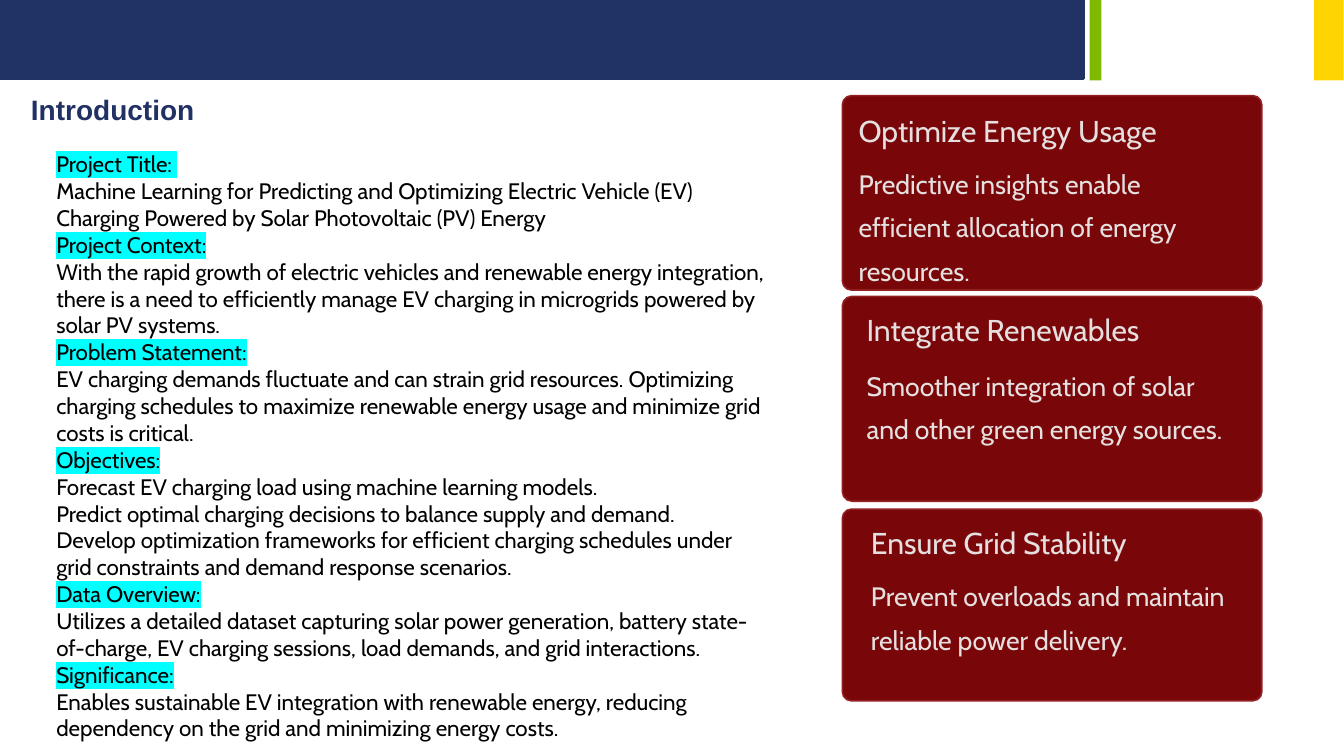
import pptx
import pptx.dml.color
import pptx.enum.shapes
import pptx.enum.text
import pptx.util
from lxml import etree
from pptx.util import Cm, Pt

COLORS = {
    "navy": "213264", "title": "213163", "green": "7FBA00", "yellow": "FED500",
    "card": "790709", "card_line": "922022", "card_text": "E5E0DF",
    "text": "000000", "highlight": "00FFFF",
}
DRAWING = "http://schemas.openxmlformats.org/drawingml/2006/main"


class SlideBuilder:
    def __init__(self, slide, font="Cabin"):
        self.slide = slide
        self.font = font

    def color(self, name):
        return pptx.dml.color.RGBColor.from_string(COLORS[name])

    def box(self, left, top, width, height, fill, line=None, line_width=1, corner=None):
        kinds = pptx.enum.shapes.MSO_SHAPE
        kind = kinds.RECTANGLE if corner is None else kinds.ROUNDED_RECTANGLE
        shape = self.slide.shapes.add_shape(kind, Cm(left), Cm(top), Cm(width), Cm(height))
        shape.shadow.inherit = False
        if corner is not None:
            shape.adjustments[0] = corner
        shape.fill.solid()
        shape.fill.fore_color.rgb = self.color(fill)
        if line:
            shape.line.color.rgb = self.color(line)
            shape.line.width = Pt(line_width)
        else:
            shape.line.fill.background()

    def text_box(self, left, top, width, height, margins=(0, 0, 0, 0), wrap=True):
        shape = self.slide.shapes.add_textbox(Cm(left), Cm(top), Cm(width), Cm(height))
        frame = shape.text_frame
        frame.word_wrap = wrap
        frame.auto_size = pptx.enum.text.MSO_AUTO_SIZE.NONE
        (frame.margin_left, frame.margin_top,
         frame.margin_right, frame.margin_bottom) = map(Cm, margins)
        return frame

    def run(self, paragraph, text, size, color, font=None, bold=False, highlight=None):
        run = paragraph.add_run()
        run.text = text
        run.font.size = Pt(size)
        run.font.bold = bold
        run.font.color.rgb = self.color(color)
        if highlight:
            # The highlight must stand between the fill and the typeface
            properties = run.font._element
            mark = etree.SubElement(properties, f"{{{DRAWING}}}highlight")
            etree.SubElement(mark, f"{{{DRAWING}}}srgbClr", val=COLORS[highlight])
        run.font.name = font or self.font

    def sections(self, frame, sections):
        paragraph = frame.paragraphs[0]
        for number, (heading, lines) in enumerate(sections):
            if number:
                paragraph = frame.add_paragraph()
            self.run(paragraph, heading, 16, "text", highlight="highlight")
            for line in lines:
                self.run(frame.add_paragraph(), line, 16, "text")

    def label(self, left, top, width, height, text, size, spacing, wrap):
        paragraph = self.text_box(left, top, width, height, wrap=wrap).paragraphs[0]
        paragraph.line_spacing = Pt(spacing)
        self.run(paragraph, text, size, "card_text")

    def card(self, top, height, text_left, heading_top, heading, body_top, body_width, body):
        self.box(21.23, top, 10.57, height, "card", "card_line", 1.2, corner=0.047)
        self.label(text_left, heading_top, 7.04, 0.74, heading, 21.5, 27, wrap=False)
        self.label(text_left, body_top, body_width, 1.9, body, 19, 31, wrap=True)


SECTIONS = [
    ("Project Title: ", [
        "Machine Learning for Predicting and Optimizing Electric Vehicle (EV) "
        "Charging Powered by Solar Photovoltaic (PV) Energy"]),
    ("Project Context:", [
        "With the rapid growth of electric vehicles and renewable energy integration, "
        "there is a need to efficiently manage EV charging in microgrids powered by "
        "solar PV systems."]),
    ("Problem Statement:", [
        "EV charging demands fluctuate and can strain grid resources. Optimizing "
        "charging schedules to maximize renewable energy usage and minimize grid "
        "costs is critical."]),
    ("Objectives:", [
        "Forecast EV charging load using machine learning models.",
        "Predict optimal charging decisions to balance supply and demand.",
        "Develop optimization frameworks for efficient charging schedules under "
        "grid constraints and demand response scenarios."]),
    ("Data Overview:", [
        "Utilizes a detailed dataset capturing solar power generation, battery "
        "state-of-charge, EV charging sessions, load demands, and grid interactions."]),
    ("Significance:", [
        "Enables sustainable EV integration with renewable energy, reducing "
        "dependency on the grid and minimizing energy costs."]),
]

# Top, height, text left, heading top, heading, body top, body width, body
CARDS = [
    (2.41, 4.9, 21.64, 2.79, "Optimize Energy Usage", 3.94, 9.22,
     "Predictive insights enable efficient allocation of energy resources."),
    (7.47, 5.16, 21.84, 7.8, "Integrate Renewables", 9.02, 9.22,
     "Smoother integration of solar and other green energy sources."),
    (12.83, 4.83, 21.95, 13.16, "Ensure Grid Stability", 14.33, 10.03,
     "Prevent overloads and maintain reliable power delivery."),
]
BODY_INDENT = 0.2


def main():
    presentation = pptx.Presentation()
    presentation.slide_width = Cm(33.87)
    presentation.slide_height = Cm(19.05)
    builder = SlideBuilder(presentation.slides.add_slide(presentation.slide_layouts[6]))

    # Header band
    builder.box(0, 0, 27.31, 1.98, "navy", "navy", 2)
    builder.box(27.46, 0, 0.3, 2.03, "green")
    builder.box(33.12, 0, 0.74, 2.03, "yellow")

    # Title
    title = builder.text_box(0.53, 2.21, 16.94, 1.12, (0.25, 0.13, 0.25, 0.13))
    builder.run(title.paragraphs[0], "Introduction", 20, "title", "Arial", bold=True)

    # Project summary
    summary = builder.text_box(1.17, 3.66, 18.29, 15.37, (0.25, 0.13, 0, 0.13))
    builder.sections(summary, SECTIONS)

    # Benefit cards
    for card in CARDS:
        builder.card(*card)

    presentation.save("out.pptx")


if __name__ == "__main__":
    main()
